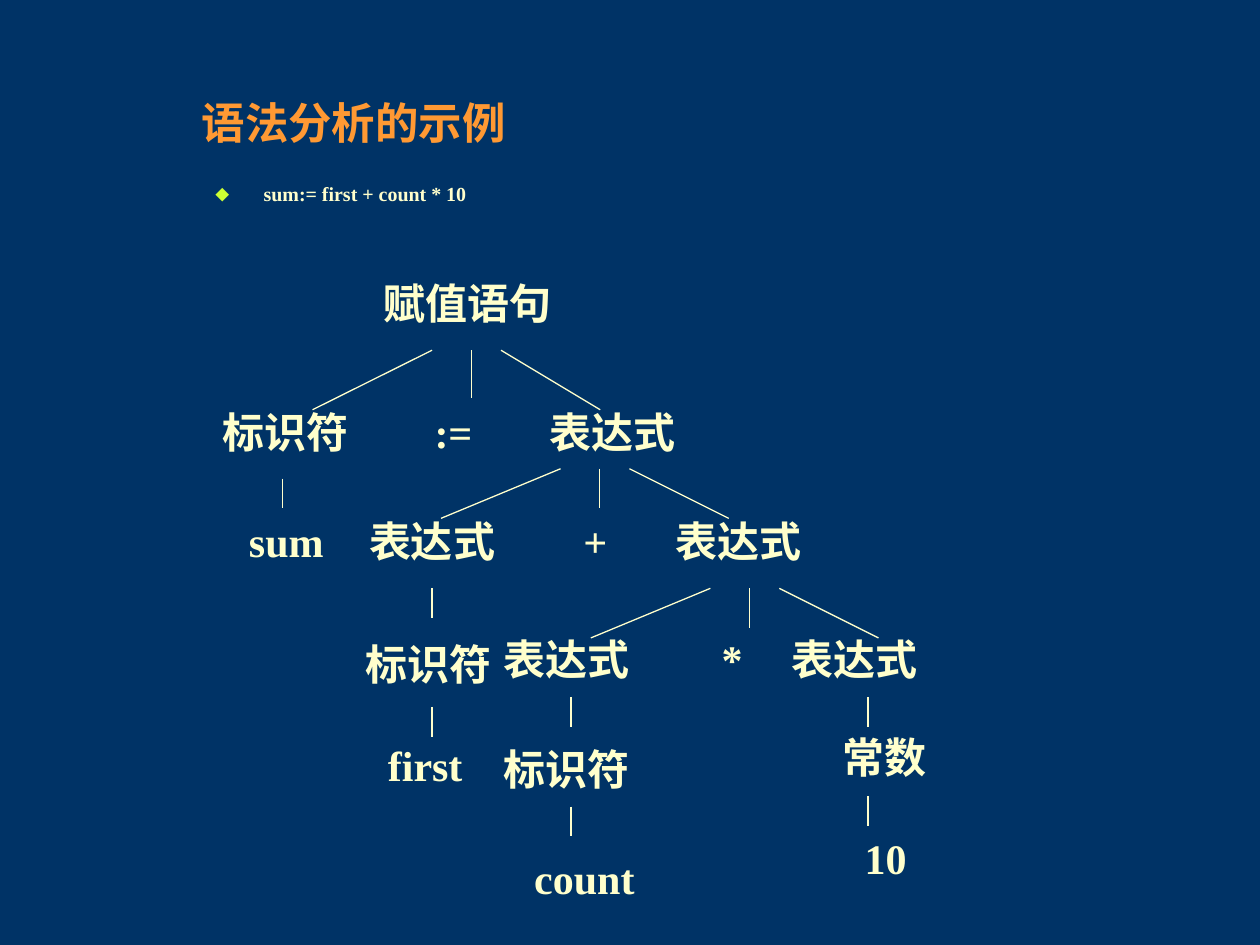
"""Build a slide that shows the syntax tree of an assignment statement."""
from lxml.etree import SubElement
from pptx import Presentation
from pptx.dml.color import RGBColor
from pptx.enum.shapes import MSO_CONNECTOR
from pptx.enum.text import MSO_ANCHOR, MSO_AUTO_SIZE, PP_ALIGN
from pptx.oxml.ns import qn
from pptx.util import Cm, Pt

BACKGROUND, CREAM, ORANGE, LIME = "003366", "FFFFCC", "FF9933", "CCFF33"

NODES = [
    ("赋值语句", 7.49, 5.46, 4.06),
    ("标识符", 4.24, 8.08, 3.53),
    (":=", 8.51, 8.08, 2.21),
    ("表达式", 10.82, 8.08, 3.89),
    ("表达式", 7.19, 10.26, 3.68),
    ("+", 11.51, 10.26, 1.24),
    ("表达式", 13.36, 10.26, 3.89),
    ("标识符", 7.11, 12.75, 3.53),
    ("表达式", 9.91, 12.65, 3.86),
    ("*", 14.3, 12.65, 1.24),
    ("表达式", 15.7, 12.65, 3.89),
    ("标识符", 9.91, 14.86, 3.84),
    ("常数", 16.74, 14.63, 3.38),
    ("sum", 4.77, 10.26, 2.7),
    ("first", 7.57, 14.78, 2.79),
    ("count", 10.52, 17.07, 2.75),
    ("10", 17.18, 16.66, 1.72),
]
FANS = [(9.5, 7.06, 1.2), (12.09, 9.45, 1), (15.11, 11.86, 1)]
STEMS = [(5.69, 9.65), (8.71, 11.86), (8.71, 14.25), (11.51, 14.05),
         (11.51, 16.26), (17.5, 14.05), (17.5, 16.05)]


def color(value):
    return RGBColor.from_string(value)


class TreeSlide:
    """Hold the style and the current slide, and draw each kind of element."""

    font_name = "Times New Roman"

    def __init__(self, presentation):
        self.slide = presentation.slides.add_slide(presentation.slide_layouts[1])
        fill = self.slide.background.fill
        fill.solid()
        fill.fore_color.rgb = color(BACKGROUND)

    def add_text(self, paragraph, text, size, text_color=CREAM):
        paragraph.alignment = PP_ALIGN.LEFT
        run = paragraph.add_run()
        run.text = text
        run.font.name = self.font_name
        run.font.size = Pt(size)
        run.font.bold = True
        run.font.color.rgb = color(text_color)

    def place(self, shape, left, top, width, height):
        shape.left, shape.top = Cm(left), Cm(top)
        shape.width, shape.height = Cm(width), Cm(height)
        shape.text_frame.auto_size = MSO_AUTO_SIZE.NONE
        return shape.text_frame.paragraphs[0]

    def title(self, text):
        shape = self.slide.shapes.title
        paragraph = self.place(shape, 3.81, 2.13, 21.59, 0.97)
        shape.text_frame.vertical_anchor = MSO_ANCHOR.MIDDLE
        paragraph.line_spacing = 0.65
        self.add_text(paragraph, text, 24.8, ORANGE)

    def bullet(self, text):
        paragraph = self.place(self.slide.placeholders[1], 4.09, 3.53, 13.79, 1.63)
        self.add_text(paragraph, text, 11.4)
        paragraph.space_before = Pt(6)
        properties = paragraph._p.get_or_add_pPr()
        properties.set("marL", str(Cm(0.97)))
        properties.set("indent", str(-Cm(0.97)))
        bullet_color = SubElement(properties, qn("a:buClr"))
        SubElement(bullet_color, qn("a:srgbClr"), val=LIME)
        SubElement(properties, qn("a:buChar"), char="⬥")

    def node(self, text, left, top, width):
        shape = self.slide.shapes.add_textbox(Cm(left), Cm(top), Cm(width), Cm(1.27))
        shape.text_frame.word_wrap = True
        self.add_text(shape.text_frame.paragraphs[0], text, 24)

    def line(self, start_x, start_y, end_x, end_y):
        connector = self.slide.shapes.add_connector(
            MSO_CONNECTOR.STRAIGHT, Cm(start_x), Cm(start_y), Cm(end_x), Cm(end_y))
        connector.line.color.rgb = color(CREAM)
        connector.line.width = Pt(0.75)
        SubElement(connector._element.spPr, qn("a:effectLst"))

    def stem(self, x, y, length=0.6):
        self.line(x, y, x, y + length)

    def fan(self, x, y, depth):
        self.line(x - 0.79, y, x - 3.2, y + depth)
        self.line(x + 0.6, y, x + 2.6, y + depth)
        self.stem(x, y, 0.8 * depth)


def main():
    presentation = Presentation()
    presentation.slide_width, presentation.slide_height = Cm(25.4), Cm(19.05)
    tree = TreeSlide(presentation)
    tree.title("语法分析的示例")
    tree.bullet("sum:= first + count * 10")
    for node in NODES:
        tree.node(*node)
    for fan in FANS:
        tree.fan(*fan)
    for stem in STEMS:
        tree.stem(*stem)
    presentation.save("out.pptx")


if __name__ == "__main__":
    main()
